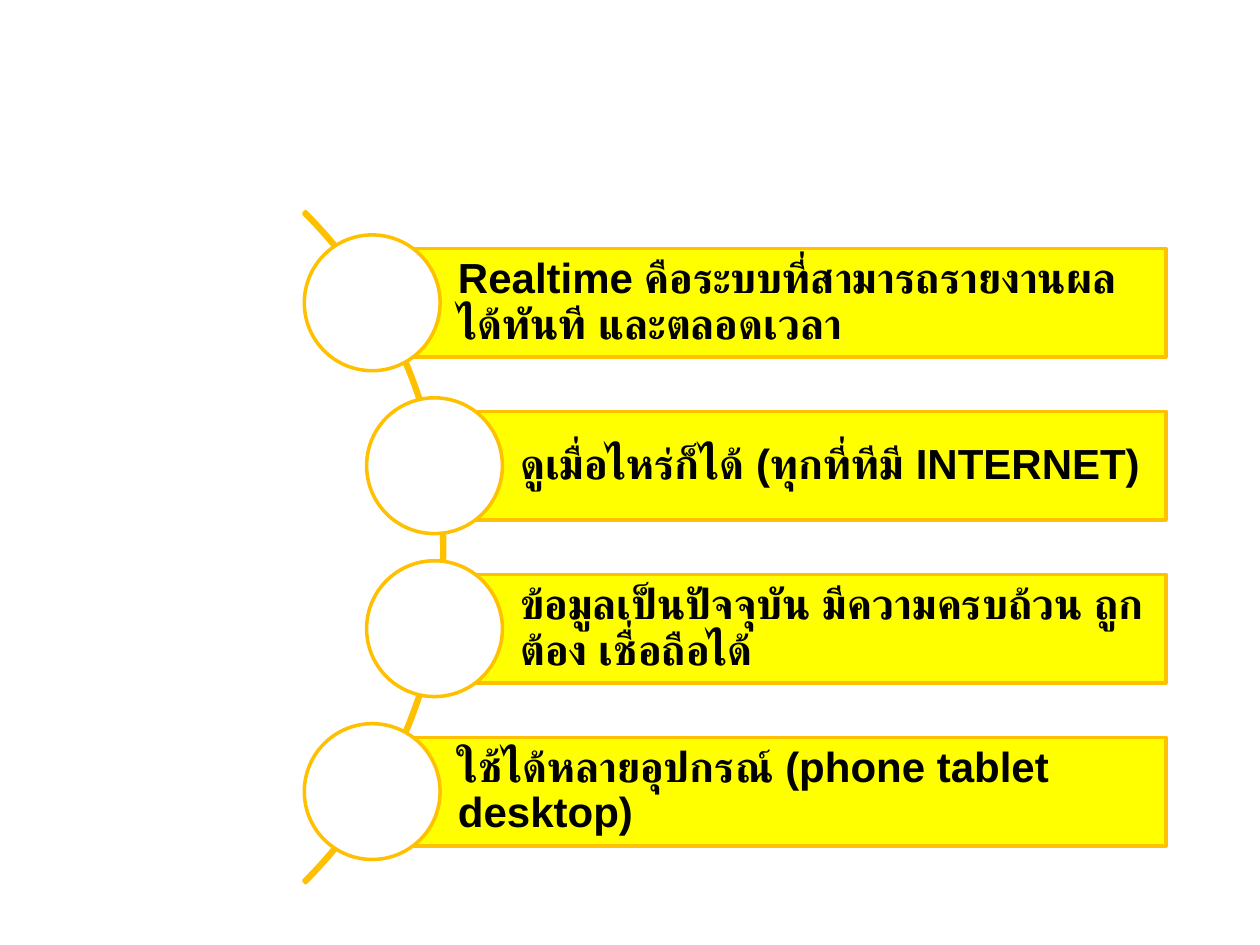
from lxml.etree import SubElement
from pptx import Presentation
from pptx.dml.color import RGBColor
from pptx.enum.shapes import MSO_SHAPE
from pptx.enum.text import MSO_ANCHOR, PP_ALIGN
from pptx.oxml.ns import qn
from pptx.util import Pt

GOLD = RGBColor(0xFF, 0xC0, 0x00)
YELLOW = RGBColor(0xFF, 0xFF, 0x00)
WHITE = RGBColor(0xFF, 0xFF, 0xFF)
BLACK = RGBColor(0, 0, 0)

MID = 312.7      # centre line of the list
STEP = 93.1      # distance between rows
RIGHT = 666.2    # right edge of the bars
OUTER, INNER = 212.7, 248.3
ROWS = [
    (OUTER, "Realtime คือระบบที่สามารถรายงานผลได้ทันที และตลอดเวลา"),
    (INNER, "ดูเมื่อไหร่ก็ได้ (ทุกที่ทีมี INTERNET)"),
    (INNER, "ข้อมูลเป็นปัจจุบัน มีความครบถ้วน ถูกต้อง เชื่อถือได้"),
    (OUTER, "ใช้ได้หลายอุปกรณ์ (phone tablet desktop)"),
]


def write(shape, text, size=24, color=BLACK, bold=True, face="Arial"):
    frame = shape.text_frame
    frame.word_wrap = True
    frame.vertical_anchor = MSO_ANCHOR.MIDDLE
    frame.margin_left = Pt(49)
    frame.margin_top = frame.margin_right = frame.margin_bottom = Pt(5)
    para = frame.paragraphs[0]
    para.alignment = PP_ALIGN.LEFT
    para.line_spacing = 0.9
    para.space_after = Pt(0.35 * size)
    run = para.add_run()
    run.text = text
    font = run.font
    font.name, font.size, font.bold = face, Pt(size), bold
    font.color.rgb = color
    # Thai letters take the complex-script face
    SubElement(font._element, qn("a:cs"), typeface=face)


class Board:
    def __init__(self, slide, edge=GOLD, width=2):
        self.slide, self.edge, self.width = slide, edge, width

    def shape(self, kind, left, top, wide, high, fill=None):
        item = self.slide.shapes.add_shape(
            kind, Pt(left), Pt(top), Pt(wide), Pt(high))
        item.shadow.inherit = False
        item.line.color.rgb = self.edge
        item.line.width = Pt(self.width)
        if fill is None:
            item.fill.background()
        else:
            item.fill.solid()
            item.fill.fore_color.rgb = fill
        return item

    def arc(self, x, y, size):
        """Draw the thin quarter ring that faces right, centred on x, y."""
        item = self.shape(MSO_SHAPE.BLOCK_ARC, x - size / 2, y - size / 2,
                          size, size)
        for i, value in enumerate((189, 27, 0.003)):
            item.adjustments[i] = value

    def bar(self, left, y, text, high=62):
        item = self.shape(MSO_SHAPE.RECTANGLE, left, y - high / 2,
                          RIGHT - left, high, YELLOW)
        write(item, text)

    def disc(self, x, y, size=77.6):
        self.shape(MSO_SHAPE.OVAL, x - size / 2, y - size / 2,
                   size, size, WHITE)


def main():
    deck = Presentation()
    deck.slide_width, deck.slide_height = Pt(720), Pt(540)
    board = Board(deck.slides.add_slide(deck.slide_layouts[6]))
    board.arc(-17, MID, 542.2)
    for i, (left, text) in enumerate(ROWS):
        y = MID + (i - (len(ROWS) - 1) / 2) * STEP
        board.bar(left, y, text)
        board.disc(left, y)
    deck.save("out.pptx")


if __name__ == "__main__":
    main()
